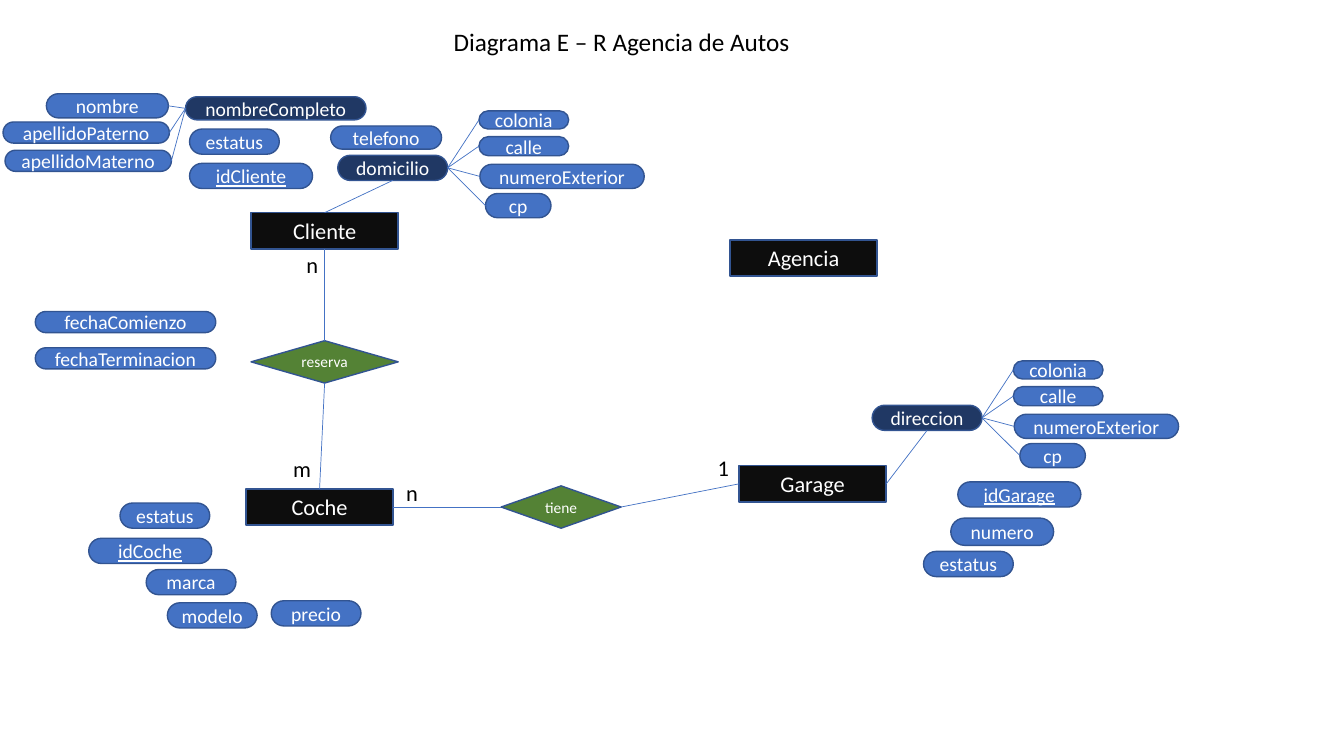
from lxml.etree import SubElement
from pptx import Presentation
from pptx.dml.color import RGBColor
from pptx.enum.shapes import MSO_CONNECTOR as Connector, MSO_SHAPE as Shape
from pptx.enum.text import MSO_ANCHOR as Anchor, MSO_AUTO_SIZE as AutoSize, PP_ALIGN as Align
from pptx.oxml.ns import qn
from pptx.util import Inches, Pt

# Grid: 133.3 columns by 75 rows of square cells
SLIDE_WIDTH, SLIDE_HEIGHT = Inches(13.33), Inches(7.5)
COLUMN, ROW = SLIDE_WIDTH / 133.3, SLIDE_HEIGHT / 75

FONT = "Calibri"
WHITE, BLACK = "FFFFFF", "000000"
ENTITY_FILL, RELATION_FILL = "0D0D0D", "548235"
ATTRIBUTE_FILL, COMPOSITE_FILL = "4472C4", "203864"
OUTLINE, LINK = "325491", "4472C4"

# Connection sites shared by rectangles, pills and diamonds
TOP, LEFT, BOTTOM, RIGHT = range(4)

ENTITY_SIZE = (14.6, 3.6)
KEY_SIZE = (12.2, 2.5)
SHORT_SIZE = (8.9, 2.5)
DATE_SIZE = (17.9, 2.1)
SURNAME_SIZE = (16.5, 2.1)


def color(hex_text):
    return RGBColor.from_string(hex_text)


def grid_box(left, top, width, height):
    return [round(n) for n in (left * COLUMN, top * ROW, width * COLUMN, height * ROW)]


def write(shape, text, size=14, ink=WHITE, align=Align.CENTER, anchor=Anchor.MIDDLE,
          underline=None):
    frame = shape.text_frame
    frame.word_wrap = True
    frame.vertical_anchor = anchor
    paragraph = frame.paragraphs[0]
    paragraph.alignment = align
    run = paragraph.add_run()
    run.text = text
    run.font.name, run.font.size = FONT, Pt(size)
    run.font.color.rgb = color(ink)
    run.font.underline = underline


def add_node(slide, kind, box, fill, text, **text_format):
    shape = slide.shapes.add_shape(kind, *grid_box(*box))
    shape.shadow.inherit = False
    shape.fill.solid()
    shape.fill.fore_color.rgb = color(fill)
    shape.line.color.rgb = color(OUTLINE)
    shape.line.width = Pt(1)
    write(shape, text, **text_format)
    return shape


def add_label(slide, text, box, **text_format):
    label = slide.shapes.add_textbox(*grid_box(*box))
    write(label, text, ink=BLACK, anchor=Anchor.TOP, **text_format)
    label.text_frame.auto_size = AutoSize.SHAPE_TO_FIT_TEXT


def link(slide, start, start_site, end, end_site):
    connector = slide.shapes.add_connector(Connector.STRAIGHT, 0, 0, 0, 0)
    connector.begin_connect(start, start_site)
    connector.end_connect(end, end_site)
    connector.line.color.rgb = color(LINK)
    connector.line.width = Pt(0.5)
    SubElement(connector._element.spPr, qn("a:effectLst"))


def add_attribute(slide, text, box, fill=ATTRIBUTE_FILL, key=False):
    pill = add_node(slide, Shape.ROUNDED_RECTANGLE, box, fill, text, underline=key or None)
    pill.adjustments[0] = 0.5
    return pill


def add_attributes(slide, left, top, attributes):
    """Place pills at offsets from a corner; names starting with id are keys."""
    return [add_attribute(slide, name, (left + right, top + down, *size),
                          key=name.startswith("id"))
            for name, right, down, size in attributes]


def add_entity(slide, name, left, top, attributes=()):
    entity = add_node(slide, Shape.RECTANGLE, (left, top, *ENTITY_SIZE),
                      ENTITY_FILL, name, size=16)
    add_attributes(slide, left, top, attributes)
    return entity


def add_relation(slide, name, box, start, start_sites, end, end_sites):
    """Draw a diamond linked to two entities; each pair is (entity, diamond) sites."""
    diamond = add_node(slide, Shape.DIAMOND, box, RELATION_FILL, name, size=11)
    link(slide, start, start_sites[0], diamond, start_sites[1])
    link(slide, diamond, end_sites[1], end, end_sites[0])


def add_full_name(slide, left, top):
    full_name = add_attribute(slide, "nombreCompleto", (left + 18.1, top + 0.3, 17.9, 2.3),
                              COMPOSITE_FILL)
    parts = add_attributes(slide, left, top, [
        ("nombre", 4.3, 0, (12.1, 2.4)),
        ("apellidoPaterno", 0, 2.8, SURNAME_SIZE),
        ("apellidoMaterno", 0.2, 5.6, SURNAME_SIZE),
    ])
    for part in parts:
        link(slide, part, RIGHT, full_name, LEFT)


def add_address(slide, name, left, top, entity, entity_site):
    address = add_attribute(slide, name, (left, top, 10.9, 2.5), COMPOSITE_FILL)
    link(slide, address, BOTTOM, entity, entity_site)
    parts = add_attributes(slide, left, top, [
        ("colonia", 14, -4.4, (8.9, 1.8)),
        ("calle", 14, -1.85, (8.9, 1.9)),
        ("numeroExterior", 14.1, 0.9, (16.3, 2.4)),
        ("cp", 14.65, 3.8, (6.5, 2.4)),
    ])
    for part in parts:
        link(slide, address, RIGHT, part, LEFT)


def build_diagram(slide):
    add_label(slide, "Diagrama E – R Agencia de Autos", (36.8, 2.1, 49.7, 4), size=18)

    # Entities with their simple attributes
    client = add_entity(slide, "Cliente", 24.9, 21.1, [
        ("idCliente", -6.1, -4.9, KEY_SIZE),
        ("estatus", -6.1, -8.3, SHORT_SIZE),
        ("telefono", 7.9, -8.6, (11, 2.3)),
    ])
    car = add_entity(slide, "Coche", 24.4, 48.5, [
        ("estatus", -12.5, 1.4, SHORT_SIZE),
        ("idCoche", -15.6, 4.9, KEY_SIZE),
        ("marca", -9.9, 8, SHORT_SIZE),
        ("modelo", -7.8, 11.3, SHORT_SIZE),
        ("precio", 2.5, 11.1, SHORT_SIZE),
    ])
    garage = add_entity(slide, "Garage", 73.3, 46.2, [
        ("idGarage", 21.7, 1.6, KEY_SIZE),
        ("numero", 21, 5.2, (10.2, 2.7)),
        ("estatus", 18.3, 8.5, SHORT_SIZE),
    ])
    add_entity(slide, "Agencia", 72.4, 23.8)

    # Composite attributes
    add_full_name(slide, 0.3, 9.3)
    add_address(slide, "domicilio", 33.5, 15.4, client, TOP)
    add_address(slide, "direccion", 86.5, 40.2, garage, RIGHT)

    # Relations and the dates of a booking
    add_relation(slide, "reserva", (24.9, 33.8, 14.6, 4.2),
                 client, (BOTTOM, TOP), car, (TOP, BOTTOM))
    add_relation(slide, "tiene", (49.7, 48.2, 11.9, 4.2),
                 car, (RIGHT, LEFT), garage, (LEFT, RIGHT))
    add_attributes(slide, 3.5, 30.9, [
        ("fechaComienzo", 0, 0, DATE_SIZE),
        ("fechaTerminacion", 0, 3.6, DATE_SIZE),
    ])

    # Cardinalities
    for text, left, top in [("n", 29.4, 24.4), ("m", 28.1, 44.7),
                            ("n", 39.3, 47), ("1", 70.2, 44.6)]:
        add_label(slide, text, (left, top, 3.1, 3.7), size=16, align=Align.LEFT)


def main():
    presentation = Presentation()
    presentation.slide_width, presentation.slide_height = SLIDE_WIDTH, SLIDE_HEIGHT
    build_diagram(presentation.slides.add_slide(presentation.slide_layouts[6]))
    presentation.save("out.pptx")


if __name__ == "__main__":
    main()
